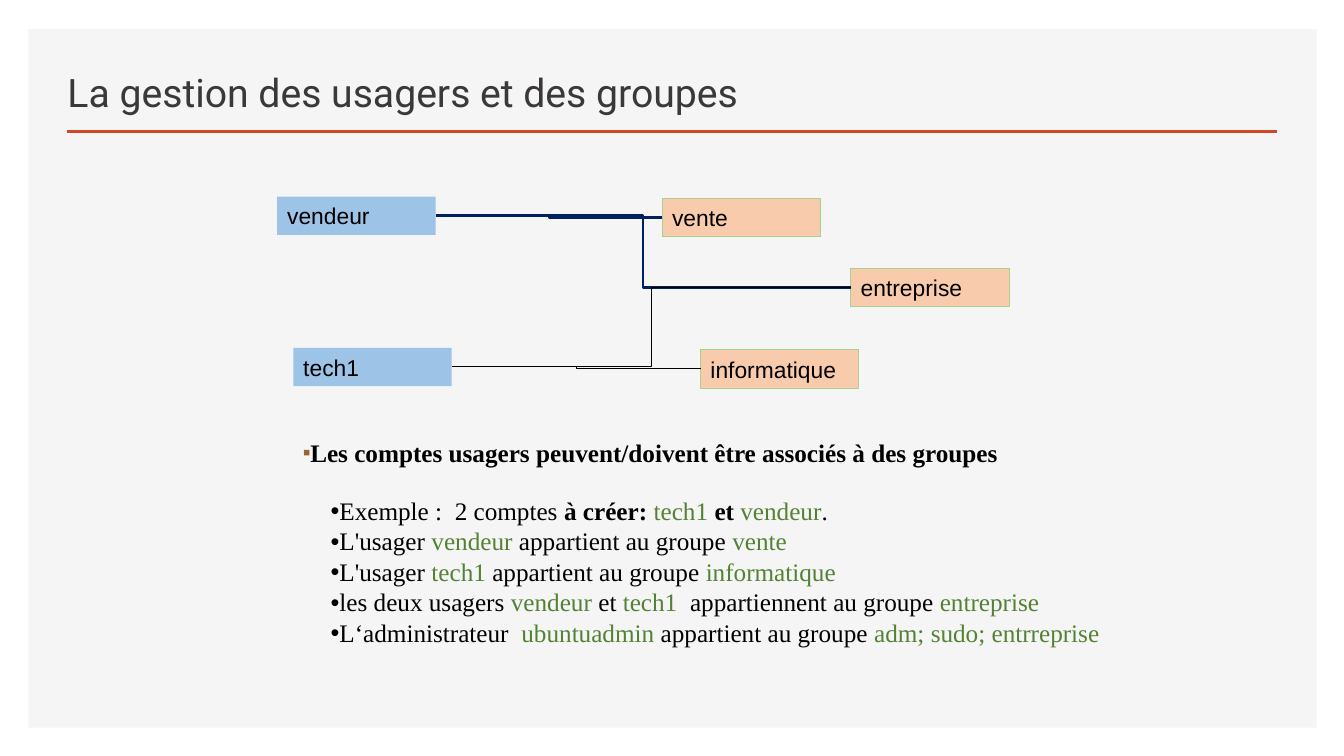
from lxml import etree
from pptx import Presentation
from pptx import util as u
from pptx.dml.color import RGBColor
from pptx.enum import shapes, text
from pptx.oxml import ns

Pt = u.Pt
COLORS = {
    "panel": "F5F5F5", "rule": "D24726", "title": "3B3838",
    "user": "9DC3E6", "group": "F8CBAD", "group_line": "A9D18E",
    "navy": "002060", "black": "000000", "green": "548235", "bullet": "996633",
}
RIGHT_SITE, LEFT_SITE = 3, 1
BOX_SIZE = (113.2, 27.4)

# Boxes of the diagram: left and top within the diagram
USERS = {"vendeur": (0, 0), "tech1": (11.5, 108)}
GROUPS = {"vente": (275, 1.4), "informatique": (302.4, 109.4),
          "entreprise": (409.7, 51.1)}
LINKS = [
    ("vendeur", "vente", "navy", 1.75),
    ("vendeur", "entreprise", "navy", 1.75),
    ("tech1", "informatique", "black", 0.75),
    ("tech1", "entreprise", "black", 0.75),
]

# Runs: text, colour, bold
HEADING = [[("Les comptes usagers peuvent/doivent être associés à des groupes",
             "black", True)]]
POINTS = [
    [("Exemple :  2 comptes ", "black", False), ("à créer: ", "black", True),
     ("tech1 ", "green", False), ("et ", "black", True),
     ("vendeur", "green", False), (".", "black", False)],
    [("L'usager ", "black", False), ("vendeur ", "green", False),
     ("appartient au groupe ", "black", False), ("vente", "green", False)],
    [("L'usager ", "black", False), ("tech1 ", "green", False),
     ("appartient au groupe ", "black", False), ("informatique", "green", False)],
    [("les deux usagers ", "black", False), ("vendeur ", "green", False),
     ("et ", "black", False), ("tech1  ", "green", False),
     ("appartiennent au groupe ", "black", False), ("entreprise", "green", False)],
    [("L‘administrateur  ", "black", False), ("ubuntuadmin ", "green", False),
     ("appartient au groupe ", "black", False),
     ("adm; sudo; entrreprise", "green", False)],
]


def rgb(name):
    return RGBColor.from_string(COLORS[name])


def place(sp, box):
    sp.left, sp.top, sp.width, sp.height = [Pt(v) for v in box]


def add_run(p, words, font, size, color, bold=False):
    r = p.add_run()
    r.text = words
    r.font.name, r.font.size, r.font.bold = font, Pt(size), bold
    r.font.color.rgb = rgb(color)


def add_rect(s, box, fill, line=None):
    sp = s.shapes.add_shape(shapes.MSO_SHAPE.RECTANGLE, *[Pt(v) for v in box])
    sp.shadow.inherit = False
    sp.fill.solid()
    sp.fill.fore_color.rgb = rgb(fill)
    if line:
        sp.line.color.rgb = rgb(line)
        sp.line.width = Pt(0.75)
    else:
        sp.line.fill.background()
    return sp


def add_line(s, kind, ends, color, width):
    cn = s.shapes.add_connector(kind, *[Pt(v) for v in ends])
    cn.line.color.rgb = rgb(color)
    cn.line.width = Pt(width)
    etree.SubElement(cn._element.spPr, ns.qn("a:effectLst"))
    return cn


def add_bullet(p, char, color=None, percent=None):
    pPr = p._p.get_or_add_pPr()
    pPr.set("marL", "0")
    pPr.set("indent", "0")
    if color:
        clr = etree.SubElement(pPr, ns.qn("a:buClr"))
        etree.SubElement(clr, ns.qn("a:srgbClr"), val=COLORS[color])
    if percent:
        etree.SubElement(pPr, ns.qn("a:buSzPct"), val=str(percent * 1000))
    etree.SubElement(pPr, ns.qn("a:buFont"), typeface="Arial")
    etree.SubElement(pPr, ns.qn("a:buChar"), char=char)


def build_backdrop(s, box):
    """Grey panel with the rule under the title, behind everything else."""
    x, y, w, h = box
    panel = add_rect(s, box, "panel")
    rule = add_line(s, shapes.MSO_CONNECTOR.STRAIGHT,
                    (x + 27.5, y + 73.2, x + w - 28, y + 73.2), "rule", 2)
    for i, part in enumerate((panel, rule)):
        s.shapes._spTree.insert(2 + i, part._element)


def build_title(s, box):
    sp = s.shapes.title
    place(sp, box)
    tf = sp.text_frame
    tf.word_wrap = True
    tf.auto_size = text.MSO_AUTO_SIZE.NONE
    tf.vertical_anchor = text.MSO_ANCHOR.BOTTOM
    p = tf.paragraphs[0]
    p.alignment = text.PP_ALIGN.LEFT
    add_run(p, "La gestion des usagers et des groupes", "Roboto", 28, "title")


def build_diagram(s, box):
    """User boxes joined to the boxes of their groups."""
    x, y = box[:2]
    nodes = {}
    for names, fill, line in ((USERS, "user", None),
                              (GROUPS, "group", "group_line")):
        for name, (dx, dy) in names.items():
            sp = add_rect(s, (x + dx, y + dy, *BOX_SIZE), fill, line)
            tf = sp.text_frame
            tf.word_wrap = True
            tf.vertical_anchor = text.MSO_ANCHOR.MIDDLE
            p = tf.paragraphs[0]
            p.alignment = text.PP_ALIGN.LEFT
            add_run(p, name, "Arial", 16.3, "black")
            nodes[name] = sp
    for user, group, color, width in LINKS:
        cn = add_line(s, shapes.MSO_CONNECTOR.ELBOW, (0, 0, 0, 0), color, width)
        cn.begin_connect(nodes[user], RIGHT_SITE)
        cn.end_connect(nodes[group], LEFT_SITE)


def build_list(sp, box, lines, spacing, bullet):
    place(sp, box)
    tf = sp.text_frame
    tf.word_wrap = True
    tf.auto_size = text.MSO_AUTO_SIZE.NONE
    tf.vertical_anchor = text.MSO_ANCHOR.TOP
    for i, runs in enumerate(lines):
        p = tf.add_paragraph() if i else tf.paragraphs[0]
        p.line_spacing = spacing
        p.space_before = Pt(0.8 if i else 0)
        add_bullet(p, *bullet)
        for words, color, bold in runs:
            add_run(p, words, "Times New Roman", 18, color, bold)


def main():
    prs = Presentation()
    prs.slide_width, prs.slide_height = Pt(960), Pt(540)
    s = prs.slides.add_slide(prs.slide_layouts[3])  # title and two bodies
    heading, points = list(s.placeholders)[1:3]
    build_backdrop(s, (20.2, 20.9, 920.2, 498.9))
    build_title(s, (41, 35.3, 541.4, 50.4))
    build_diagram(s, (198, 140.4, 522.9, 136.8))
    build_list(heading, (209.5, 309.6, 517, 28.8), HEADING, 0.98,
               ("■", "bullet", 45))
    build_list(points, (229, 351.4, 573.1, 135.4), POINTS, 0.97, ("•",))
    prs.save("out.pptx")


if __name__ == "__main__":
    main()
